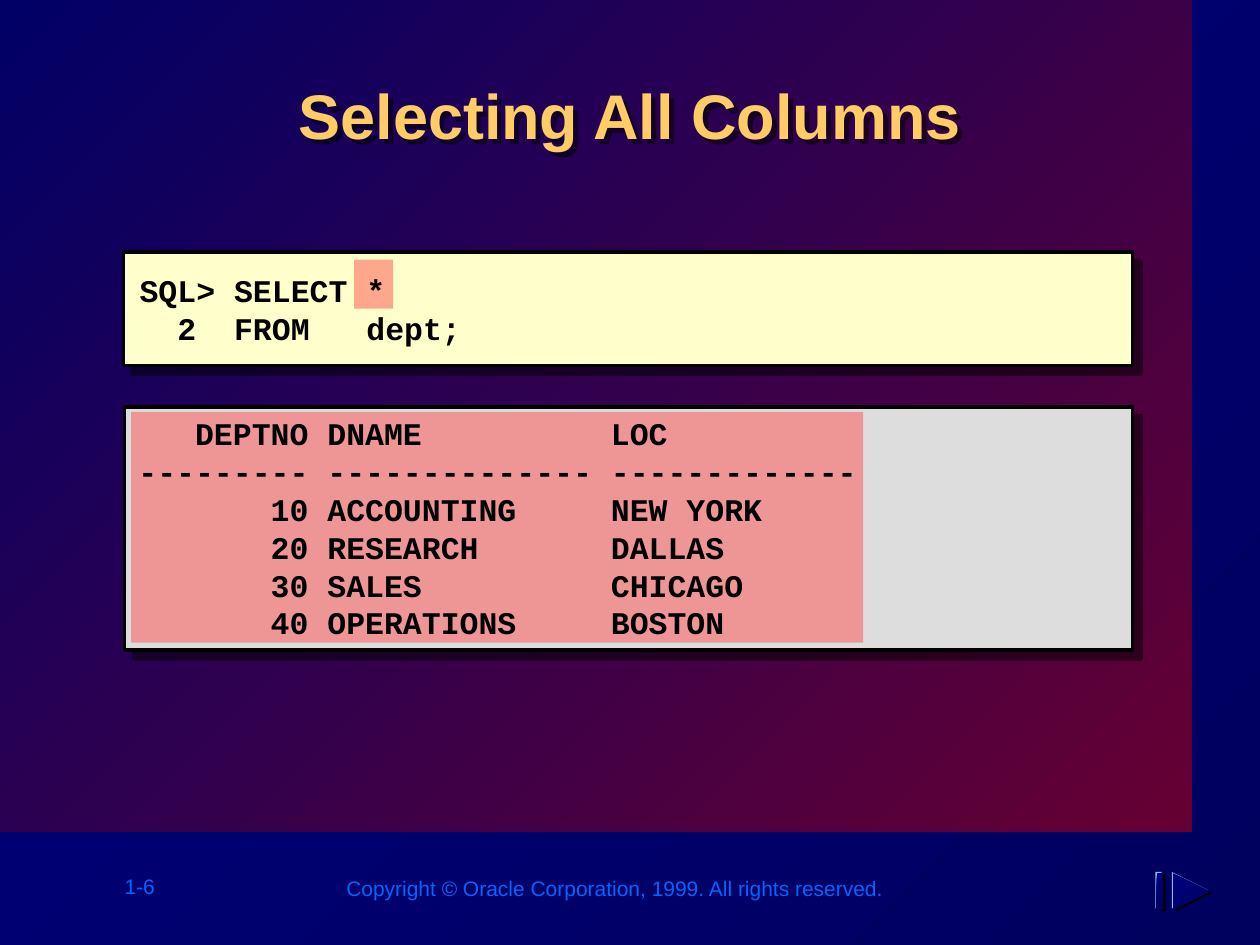
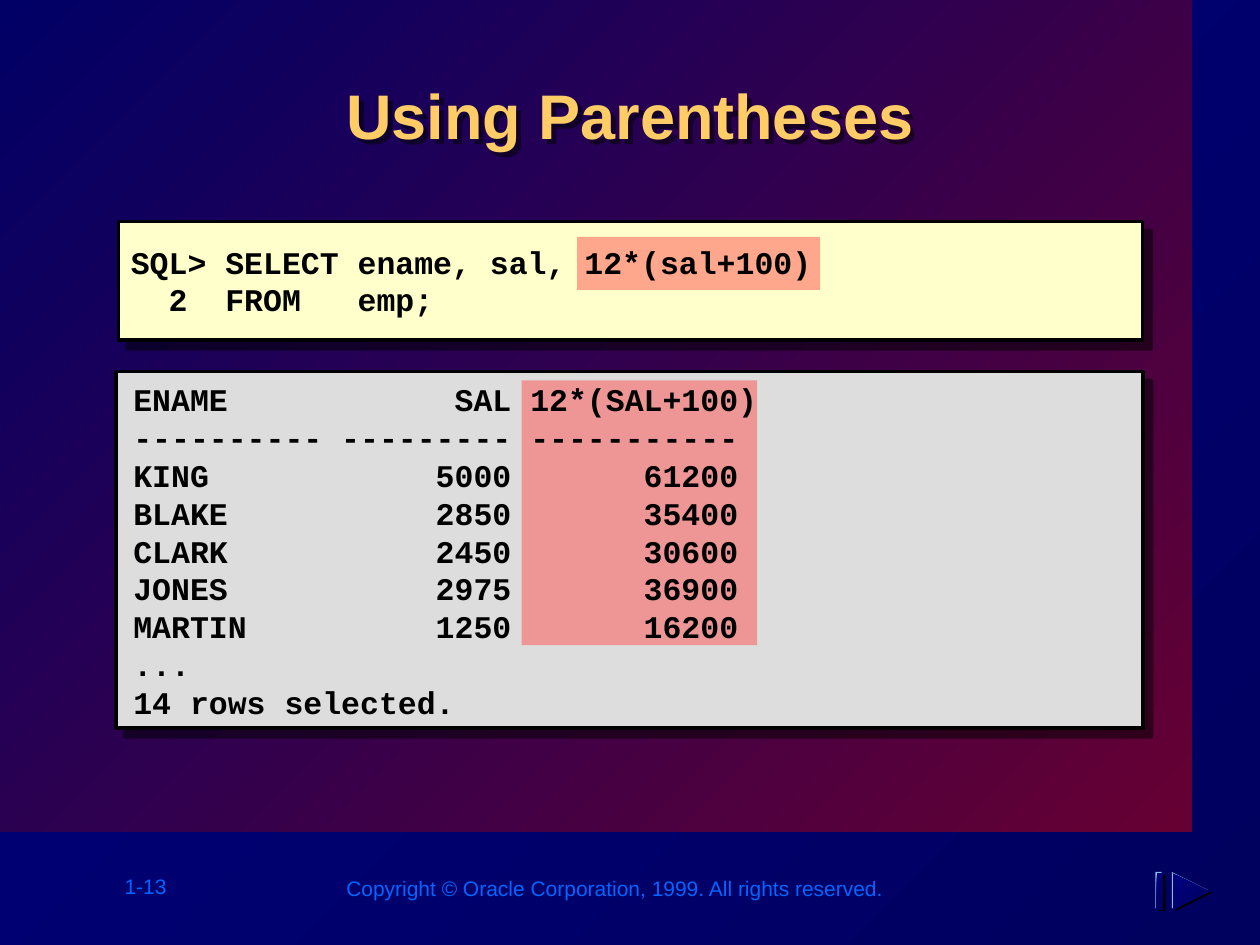
from lxml import etree
from pptx import Presentation
from pptx.dml.color import RGBColor
from pptx.enum.shapes import MSO_SHAPE
from pptx.enum.text import MSO_ANCHOR, PP_ALIGN
from pptx.oxml.ns import qn
from pptx.util import Inches, Pt

RECT = MSO_SHAPE.RECTANGLE
TOP, MIDDLE = MSO_ANCHOR.TOP, MSO_ANCHOR.MIDDLE
CENTER = PP_ALIGN.CENTER

NIGHT = ("000080", "00005F")
STAGE = ("000066", "660033")
BLACK, SKY, LINK, GOLD = "000000", "7FC1EB", "0066FF", "FFCC66"
CREAM, GREY, CORAL = "FFFFCC", "DDDDDD", "FF5050"
COPYRIGHT = "Copyright © Oracle Corporation, 1999. All rights reserved."

DEPT_QUERY = ["SQL> SELECT *", "  2  FROM   dept;"]
DEPT_ROWS = [
    "   DEPTNO DNAME          LOC",
    "--------- -------------- -------------",
    "       10 ACCOUNTING     NEW YORK",
    "       20 RESEARCH       DALLAS",
    "       30 SALES          CHICAGO",
    "       40 OPERATIONS     BOSTON",
]
EMP_QUERY = ["SQL> SELECT ename, sal, 12*(sal+100)", "  2  FROM   emp;"]
EMP_ROWS = [
    "ENAME            SAL 12*(SAL+100)",
    "---------- --------- -----------",
    "KING            5000       61200",
    "BLAKE           2850       35400",
    "CLARK           2450       30600",
    "JONES           2975       36900",
    "MARTIN          1250       16200",
    "...",
    "14 rows selected.",
]


def rgb(value):
    """Turn a hex string into a colour."""
    return RGBColor.from_string(value)


def paint(fill, colour):
    """Fill with one colour, or with a diagonal gradient for a pair."""
    if isinstance(colour, str):
        fill.solid()
        fill.fore_color.rgb = rgb(colour)
        return
    fill.gradient()
    fill.gradient_angle = 315
    for stop, value in zip(fill.gradient_stops, colour):
        stop.color.rgb = rgb(value)


def add_shadow(sp, distance):
    """Give a shape a half-transparent shadow to the lower right."""
    sp.shadow.inherit = False
    effects = sp._element.spPr.find(qn("a:effectLst"))
    shadow = etree.SubElement(effects, qn("a:outerShdw"), blurRad="0",
                              dist=str(Pt(distance)), dir="2700000",
                              algn="ctr", rotWithShape="0")
    colour = etree.SubElement(shadow, qn("a:srgbClr"), val=BLACK)
    etree.SubElement(colour, qn("a:alpha"), val="50000")


def add_rect(slide, box, colour):
    """Add a plain rectangle without outline or shadow."""
    sp = slide.shapes.add_shape(RECT, *map(Inches, box))
    sp.shadow.inherit = False
    paint(sp.fill, colour)
    sp.line.fill.background()
    return sp


def add_panel(slide, box, colour):
    """Add an outlined panel with a shadow."""
    sp = add_rect(slide, box, colour)
    sp.line.color.rgb = rgb(BLACK)
    sp.line.width = Pt(2)
    add_shadow(sp, 7.1)


def add_highlight(slide, box):
    """Add a half-transparent marker."""
    sp = add_rect(slide, box, CORAL)
    colour = sp._element.spPr.find(qn("a:solidFill"))[0]
    etree.SubElement(colour, qn("a:alpha"), val="50000")


def format_runs(p, font, size, colour, bold=False):
    """Format every run of a paragraph."""
    for r in p.runs:
        r.font.name = font
        r.font.size = Pt(size)
        r.font.bold = bold
        r.font.color.rgb = rgb(colour)


def add_textbox(slide, box, text, anchor=TOP):
    """Add a wrapping text box and return its paragraphs."""
    tf = slide.shapes.add_textbox(*map(Inches, box)).text_frame
    tf.word_wrap = True
    tf.vertical_anchor = anchor
    tf.text = text
    return tf.paragraphs


def add_code(slide, box, lines, anchor=TOP):
    """Add bold monospaced lines at an even pitch."""
    for p in add_textbox(slide, box, "\n".join(lines), anchor):
        p.line_spacing = Pt(21.6)
        format_runs(p, "Courier New", 18, BLACK, True)


def add_footer(slide, box, text):
    """Add a small footer text."""
    for p in add_textbox(slide, box, text):
        format_runs(p, "Arial", 12, LINK)


def add_triangle(slide, left, top, colour):
    """Add a triangle that points right."""
    width, height = 0.29, 0.29
    builder = slide.shapes.build_freeform(Inches(left + width),
                                          Inches(top + height / 2))
    builder.add_line_segments([(Inches(left), Inches(top)),
                               (Inches(left), Inches(top + height))])
    sp = builder.convert_to_shape()
    sp.shadow.inherit = False
    paint(sp.fill, colour)
    sp.line.fill.background()


def add_play_icon(slide):
    """Add the embossed bar and triangle in the lower right corner."""
    layers = [(0.03, 0.02, BLACK), (0, 0, SKY), (0.01, 0.01, NIGHT)]
    for dx, dy, colour in layers:
        add_rect(slide, (9.17 + dx, 6.92 + dy, 0.05, 0.29), colour)
    for dx, dy, colour in layers:
        add_triangle(slide, 9.3 + dx, 6.92 + dy, colour)


def add_title(slide, text):
    """Place and format the title above the stage."""
    title = slide.shapes.title
    title.left, title.top, title.width, title.height = map(
        Inches, (1.01, 0.56, 7.98, 0.96))
    slide.shapes._spTree.append(title._element)
    tf = title.text_frame
    tf.text = text
    tf.vertical_anchor = TOP
    p = tf.paragraphs[0]
    p.alignment = CENTER
    format_runs(p, "Arial", 36, GOLD, True)
    add_shadow(title, 4)


def add_base_slide(prs, title, number):
    """Add a slide with background, stage, title, footers and icon."""
    slide = prs.slides.add_slide(prs.slide_layouts[5])
    paint(slide.background.fill, NIGHT)
    add_rect(slide, (0, 0, 9.46, 6.6), STAGE)
    add_title(slide, title)
    add_footer(slide, (0.89, 6.88, 0.65, 0.3), number)
    add_footer(slide, (2.65, 6.9, 4.6, 0.3), COPYRIGHT)
    add_play_icon(slide)
    return slide


def add_dept_slide(prs):
    """Build the slide on selecting all columns."""
    slide = add_base_slide(prs, "Selecting All Columns", "1-6")
    add_panel(slide, (0.99, 3.23, 8, 1.93), GREY)
    add_panel(slide, (0.98, 2, 8.01, 0.9), CREAM)
    add_highlight(slide, (2.81, 2.06, 0.31, 0.39))
    add_highlight(slide, (1.04, 3.27, 5.81, 1.83))
    add_code(slide, (1, 3.24, 7.97, 1.9), DEPT_ROWS)
    add_code(slide, (1.01, 1.99, 7.96, 0.93), DEPT_QUERY, MIDDLE)


def add_emp_slide(prs):
    """Build the slide on using parentheses."""
    slide = add_base_slide(prs, "Using Parentheses", "1-13")
    add_panel(slide, (0.94, 1.76, 8.13, 0.94), CREAM)
    add_panel(slide, (0.92, 2.95, 8.15, 2.83), GREY)
    add_highlight(slide, (4.58, 1.88, 1.93, 0.42))
    add_highlight(slide, (4.14, 3.02, 1.87, 2.1))
    add_code(slide, (0.94, 1.74, 8.16, 0.97), EMP_QUERY, MIDDLE)
    add_code(slide, (0.96, 2.97, 8.12, 2.8), EMP_ROWS)


def main():
    """Build and save the presentation."""
    prs = Presentation()
    prs.slide_width, prs.slide_height = Inches(10), Inches(7.5)
    add_dept_slide(prs)
    add_emp_slide(prs)
    prs.save("out.pptx")


if __name__ == "__main__":
    main()
